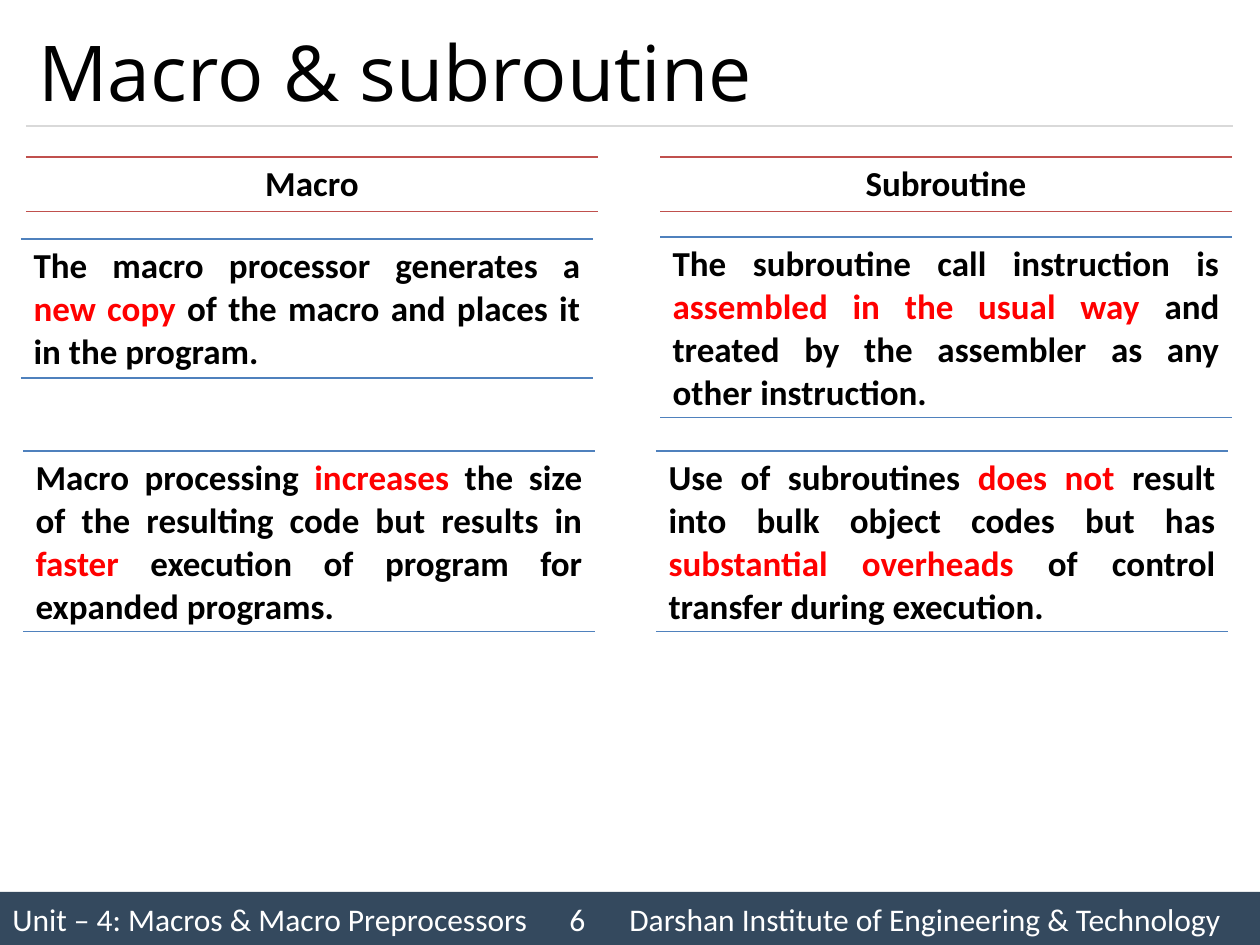
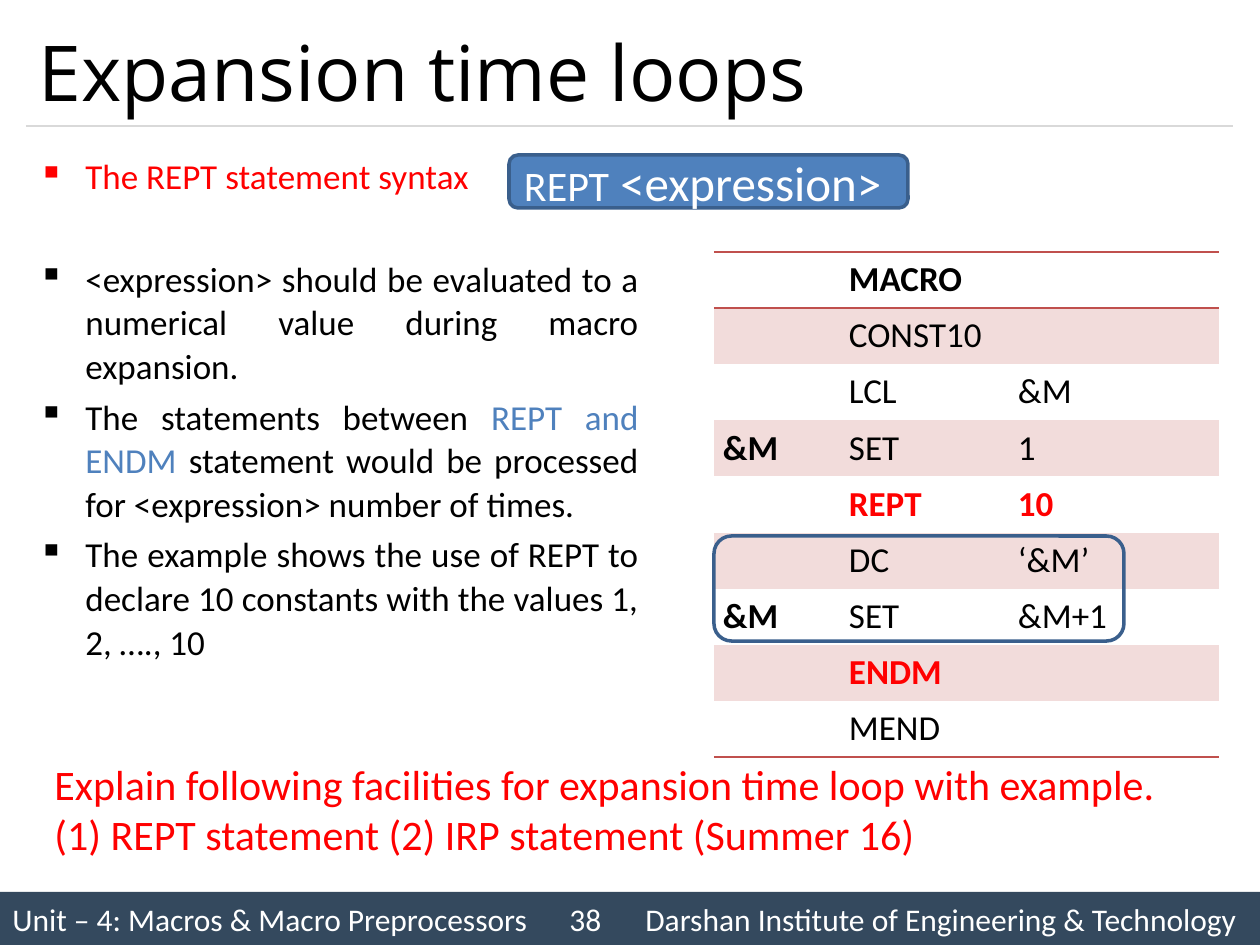
from lxml.etree import SubElement
from pptx import Presentation
from pptx.dml.color import RGBColor
from pptx.enum.shapes import MSO_CONNECTOR as CONN, MSO_SHAPE as SHAPE
from pptx.enum.text import MSO_ANCHOR as ANCHOR, PP_ALIGN as ALIGN
from pptx.oxml.ns import qn
from pptx.oxml.xmlchemy import OxmlElement
from pptx.util import Emu, Pt

SCALE = 914400 / 126
WIDTH, HEIGHT = 1260, 945
COLORS = {
    "black": "000000", "white": "FFFFFF", "red": "FF0000", "blue": "4F81BD",
    "outline": "3A5F8C", "footer": "34495E", "rule": "D9D9D9",
    "brick": "C0504D", "band": "F2DCDB",
}
BODY_FONT, TITLE_FONT = "Calibri", "Open Sans"
NO_STYLE = "{2D5ABB26-0587-4C30-8999-92F81FD0307C}"


def px(n):
    return Emu(round(n * SCALE))


def rgb(name):
    return RGBColor.from_string(COLORS[name])


def apply(target, values):
    for key, value in values.items():
        setattr(target, key, value)


def write(p, runs, size, name=BODY_FONT, bold=False, **fmt):
    apply(p, fmt)
    for text, color, *own_size in runs:
        r = p.add_run()
        r.text = text
        apply(r.font, {"size": Pt(own_size[0] if own_size else size),
                       "name": name, "bold": bold})
        r.font.color.rgb = rgb(color)


def add_text(s, box, paragraphs, size, anchor=ANCHOR.TOP, **fmt):
    tf = s.shapes.add_textbox(*map(px, box)).text_frame
    apply(tf, {"word_wrap": True, "vertical_anchor": anchor})
    for i, runs in enumerate(paragraphs):
        p = tf.add_paragraph() if i else tf.paragraphs[0]
        write(p, runs, size, **fmt)
    return tf


def add_box(s, kind, box, fill=None, line=None):
    sp = s.shapes.add_shape(kind, *map(px, box))
    sp.shadow.inherit = False
    if fill:
        sp.fill.solid()
        sp.fill.fore_color.rgb = rgb(fill)
    else:
        sp.fill.background()
    if line:
        sp.line.color.rgb = rgb(line)
        sp.line.width = Pt(2)
    else:
        sp.line.fill.background()
    return sp


def add_grid(s, box, widths, rows):
    left, top, width, height = box
    frame = s.shapes.add_table(rows, len(widths), *map(px, box))
    table = frame.table
    apply(table, {"first_row": False, "horz_banding": False})
    table._tbl.tblPr.find(qn("a:tableStyleId")).text = NO_STYLE
    for column, w in zip(table.columns, widths):
        column.width = px(w)
    for row in table.rows:
        row.height = px(height / rows)
    return table


def fill_cell(cell, fill=None):
    if fill:
        cell.fill.solid()
        cell.fill.fore_color.rgb = rgb(fill)
    else:
        cell.fill.background()


def border(cell, color, sides):
    tcPr = cell._tc.get_or_add_tcPr()
    for i, side in enumerate(sides):
        ln = OxmlElement(f"a:ln{side}")
        ln.set("w", str(Pt(1)))
        solid = SubElement(ln, qn("a:solidFill"))
        SubElement(solid, qn("a:srgbClr")).set("val", COLORS[color])
        tcPr.insert(i, ln)


def add_bullet(p, color):
    pPr = p._p.get_or_add_pPr()
    pPr.set("marL", str(px(47)))
    pPr.set("indent", str(-px(47)))
    buClr = SubElement(pPr, qn("a:buClr"))
    SubElement(buClr, qn("a:srgbClr")).set("val", COLORS[color])
    SubElement(pPr, qn("a:buChar")).set("char", "▪")


def add_footer(s, box, number):
    sp = add_box(s, SHAPE.RECTANGLE, box, "footer")
    tf = sp.text_frame
    apply(tf, {"word_wrap": True, "vertical_anchor": ANCHOR.MIDDLE})
    p = tf.paragraphs[0]
    p.alignment = ALIGN.LEFT
    tabs = SubElement(p._p.get_or_add_pPr(), qn("a:tabLst"))
    number_at, digit, gap = 557, 16, 44
    for stop in (number_at, number_at + digit * len(str(number)) + gap):
        tab = SubElement(tabs, qn("a:tab"))
        tab.set("pos", str(px(stop)))
        tab.set("algn", "l")
    text = "\t".join(("Unit – 4: Macros & Macro Preprocessors", str(number),
                      "Darshan Institute of Engineering & Technology"))
    write(p, [(text, "white")], 18)


def add_header(s, box, title):
    left, top, width, height = box
    bottom = top + height
    rule = s.shapes.add_connector(
        CONN.STRAIGHT, *map(px, (left, bottom, left + width, bottom)))
    rule.line.color.rgb = rgb("rule")
    rule.line.width = Pt(0.75)
    SubElement(rule._element.spPr, qn("a:effectLst"))
    add_text(s, box, [[(title, "black")]], 44, ANCHOR.MIDDLE, name=TITLE_FONT)


def new_slide(prs, title, number):
    s = prs.slides.add_slide(prs.slide_layouts[6])
    add_footer(s, (0, 892, WIDTH, 53), number)
    add_header(s, (26, 15, 1207, 111), title)
    return s


def add_card(s, box, runs, color, align):
    cell = add_grid(s, box, [box[2]], 1).cell(0, 0)
    fill_cell(cell)
    border(cell, color, "TB")
    write(cell.text_frame.paragraphs[0], runs, 20, bold=True, alignment=align)


def comparison_slide(prs):
    s = new_slide(prs, "Macro & subroutine", 6)
    width = 572
    for left, name in ((26, "Macro"), (660, "Subroutine")):
        add_card(s, (left, 157, width, 54), [(name, "black")], "brick", ALIGN.CENTER)
    facts = (
        (21, 239, 139, [
            ("The macro processor generates a ", "black"),
            ("new copy", "red"),
            (" of the macro and places it in the program.", "black")]),
        (23, 451, 180, [
            ("Macro processing ", "black"),
            ("increases", "red"),
            (" the size of the resulting code but results in ", "black"),
            ("faster", "red"),
            (" execution of program for expanded programs.", "black")]),
        (660, 237, 180, [
            ("The subroutine call instruction is ", "black"),
            ("assembled in the usual way ", "red"),
            ("and treated by the assembler as any other instruction.", "black")]),
        (656, 451, 180, [
            ("Use of subroutines ", "black"),
            ("does not ", "red"),
            ("result into bulk object codes but has ", "black"),
            ("substantial overheads ", "red"),
            ("of control transfer during execution.", "black")]),
    )
    for left, top, height, runs in facts:
        add_card(s, (left, top, width, height), runs, "blue", ALIGN.JUSTIFY)


def add_rept_notes(s, box):
    notes = (
        (0, [("The REPT statement syntax", "red")]),
        (33.5, [("<expression> should be evaluated to a numerical value "
                 "during macro expansion.", "black")]),
        (4, [("The statements between ", "black"),
             ("REPT and ENDM", "blue"),
             (" statement would be processed for <expression> "
              "number of times.", "black")]),
        (4, [("The example shows the use of REPT to declare 10 constants "
              "with the values 1, 2, …., 10", "black")]),
    )
    tf = s.shapes.add_textbox(*map(px, box)).text_frame
    tf.word_wrap = True
    for i, (before, runs) in enumerate(notes):
        p = tf.add_paragraph() if i else tf.paragraphs[0]
        add_bullet(p, runs[0][1])
        write(p, runs, 20, alignment=ALIGN.JUSTIFY, line_spacing=1.04,
              space_before=Pt(before))


def add_listing(s, box):
    rows = (("", "MACRO", ""), ("", "CONST10", ""), ("", "LCL", "&M"),
            ("&M", "SET", "1"), ("", "REPT", "10"), ("", "DC", "‘&M’"),
            ("&M", "SET", "&M+1"), ("", "ENDM", ""), ("", "MEND", ""))
    loop_words = ("REPT", "ENDM")
    edges = {0: "TB", len(rows) - 1: "B"}
    table = add_grid(s, box, (126, 169, 210), len(rows))
    for i, row in enumerate(rows):
        is_loop = row[1] in loop_words
        for j, text in enumerate(row):
            cell = table.cell(i, j)
            apply(cell, {"margin_left": px(9), "margin_right": px(9),
                         "margin_top": 0, "margin_bottom": 0})
            fill_cell(cell, "band" if i % 2 else None)
            border(cell, "brick", edges.get(i, ""))
            if text:
                write(cell.text_frame.paragraphs[0],
                      [(text, "red" if is_loop else "black")], 20,
                      bold=is_loop or i == 0 or j == 0,
                      alignment=ALIGN.JUSTIFY, line_spacing=1.15)
    for i in (0, 1):
        table.cell(i, 1).merge(table.cell(i, 2))


def add_syntax(s, box):
    sp = add_box(s, SHAPE.ROUNDED_RECTANGLE, box, "blue", "outline")
    tf = sp.text_frame
    apply(tf, {"word_wrap": True, "vertical_anchor": ANCHOR.MIDDLE})
    write(tf.paragraphs[0], [("REPT", "white", 24), (" <expression>", "white", 28)],
          24, alignment=ALIGN.LEFT)


def loops_slide(prs):
    s = new_slide(prs, "Expansion time loops", 38)
    add_rept_notes(s, (26, 147, 625, 567))
    add_listing(s, (714, 252, 505, 505))
    add_syntax(s, (509, 155, 399, 53))
    add_box(s, SHAPE.ROUNDED_RECTANGLE, (714, 536, 410, 105), line="outline")
    add_text(s, (42, 752, 1177, 115), [
        [("Explain following facilities for expansion time loop with example.", "red")],
        [("(1) REPT statement (2) IRP statement (Summer 16)", "red")]], 24)


def main():
    prs = Presentation()
    apply(prs, {"slide_width": px(WIDTH), "slide_height": px(HEIGHT)})
    comparison_slide(prs)
    loops_slide(prs)
    prs.save("out.pptx")


if __name__ == "__main__":
    main()
